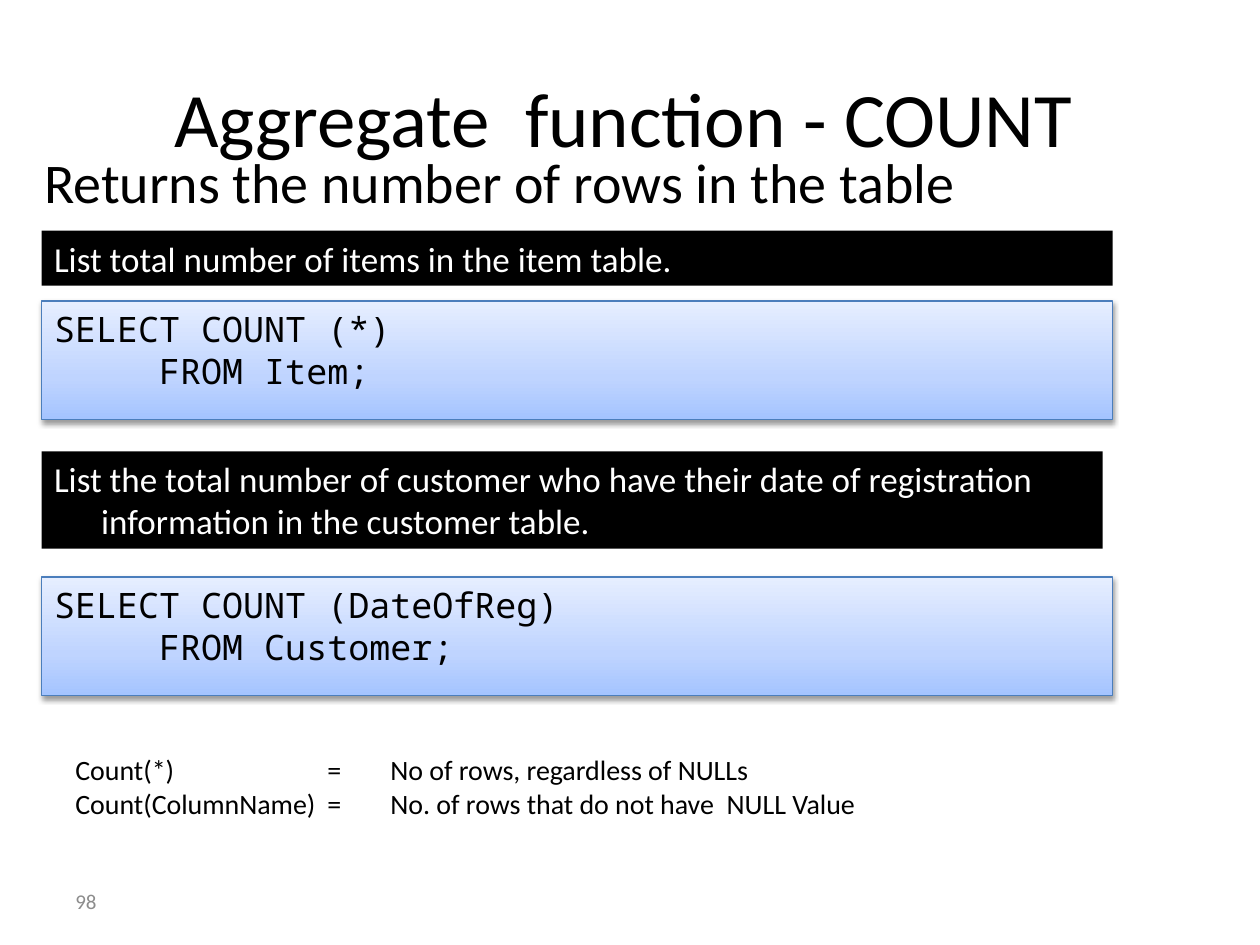
from lxml import etree
from pptx import Presentation
from pptx.dml.color import RGBColor
from pptx.enum.shapes import MSO_SHAPE
from pptx.enum.text import MSO_ANCHOR, PP_ALIGN
from pptx.oxml.ns import qn
from pptx.util import Cm, Pt

RECT = MSO_SHAPE.RECTANGLE
TOP, MIDDLE = MSO_ANCHOR.TOP, MSO_ANCHOR.MIDDLE
LEFT, CENTER = PP_ALIGN.LEFT, PP_ALIGN.CENTER

COLORS = {
    "black": "000000",
    "white": "FFFFFF",
    "gray": "8C8C8C",
    "edge": "4B7EBC",
    "deep": "A4C4FF",
    "mid": "BFD4FF",
    "pale": "E6EEFF",
}
SANS, MONO = "Calibri", "Noto Sans Mono"
EDGE = 0.84
WIDE = 21.59


def rgb(name):
    return RGBColor.from_string(COLORS[name])


def add_node(parent, tag, **attrs):
    node = etree.SubElement(parent, qn(tag))
    for key, value in attrs.items():
        node.set(key, str(value))
    return node


class Deck:
    def __init__(self, slide):
        self.slide = slide

    def put_text(self, shape, text, size, color="black", font=SANS,
                 anchor=TOP, align=LEFT, hang=0, inset=(0.25, 0.13)):
        frame = shape.text_frame
        frame.word_wrap = True
        frame.vertical_anchor = anchor
        frame.margin_left, frame.margin_top = map(Cm, inset)
        frame.margin_right, frame.margin_bottom = Cm(0.25), Cm(0.13)
        frame.text = text
        for para in frame.paragraphs:
            para.alignment = align
            if hang:
                props = para._p.get_or_add_pPr()
                props.set("marL", str(Cm(hang)))
                props.set("indent", str(-Cm(hang)))
            for run in para.runs:
                run.font.name = font
                run.font.size = Pt(size)
                run.font.color.rgb = rgb(color)

    def label(self, box, text, size, **style):
        shape = self.slide.shapes.add_textbox(*map(Cm, box))
        self.put_text(shape, text, size, **style)

    def block(self, top, width, height):
        shape = self.slide.shapes.add_shape(
            RECT, Cm(EDGE), Cm(top), Cm(width), Cm(height))
        shape.shadow.inherit = False
        return shape

    def task(self, top, width, height, text):
        shape = self.block(top, width, height)
        shape.fill.solid()
        shape.fill.fore_color.rgb = rgb("black")
        shape.line.fill.background()
        self.put_text(shape, text, 20, color="white", hang=0.95)

    def code(self, top, text):
        shape = self.block(top, WIDE, 2.39)
        shape.line.color.rgb = rgb("edge")
        shape.line.width = Pt(0.75)
        self.shade(shape)
        self.glow(shape)
        self.put_text(shape, text, 20, font=MONO)

    def shade(self, shape):
        """Fill with three stops running from the bottom to the top."""
        shape.fill.gradient()
        shape.fill.gradient_angle = 90
        stops = shape._element.spPr.find(qn("a:gradFill")).find(qn("a:gsLst"))
        for stop in list(stops):
            stops.remove(stop)
        for pos, name in ((0, "deep"), (35, "mid"), (100, "pale")):
            stop = add_node(stops, "a:gs", pos=pos * 1000)
            add_node(stop, "a:srgbClr", val=COLORS[name])

    def glow(self, shape):
        """Cast a soft shadow straight down."""
        effects = shape._element.spPr.find(qn("a:effectLst"))
        shadow = add_node(effects, "a:outerShdw", blurRad=Pt(3.1),
                          dist=Pt(1.6), dir=5400000, rotWithShape=0)
        tint = add_node(shadow, "a:srgbClr", val=COLORS["black"])
        add_node(tint, "a:alpha", val=38000)


def main():
    prs = Presentation()
    prs.slide_width, prs.slide_height = Cm(25.4), Cm(19.05)
    deck = Deck(prs.slides.add_slide(prs.slide_layouts[6]))

    deck.label((1.27, 17.65, 5.92, 1.02), "98", 12, color="gray",
               anchor=MIDDLE)
    deck.label((1.27, 0.76, 22.86, 3.18), "Aggregate  function - COUNT", 44,
               anchor=MIDDLE, align=CENTER, inset=(0, 0.13))
    deck.label((0.64, 2.97, 22.86, 1.47),
               "Returns the number of rows in the table", 32,
               hang=0.95, inset=(0.25, 0))

    deck.task(4.65, WIDE, 1.11, "List total number of items in the item table.")
    deck.code(6.07, "SELECT COUNT (*)\n     FROM Item;")
    deck.task(9.1, 21.39, 1.96,
              "List the total number of customer who have their date of "
              "registration information in the customer table.")
    deck.code(11.63, "SELECT COUNT (DateOfReg)\n     FROM Customer;")

    deck.label((1.27, 15.04, 23.55, 1.63),
               "Count(*)\t\t\t=\tNo of rows, regardless of NULLs\n"
               "Count(ColumnName)\t=\tNo. of rows that do not have  NULL Value",
               16)
    prs.save("out.pptx")


if __name__ == "__main__":
    main()
